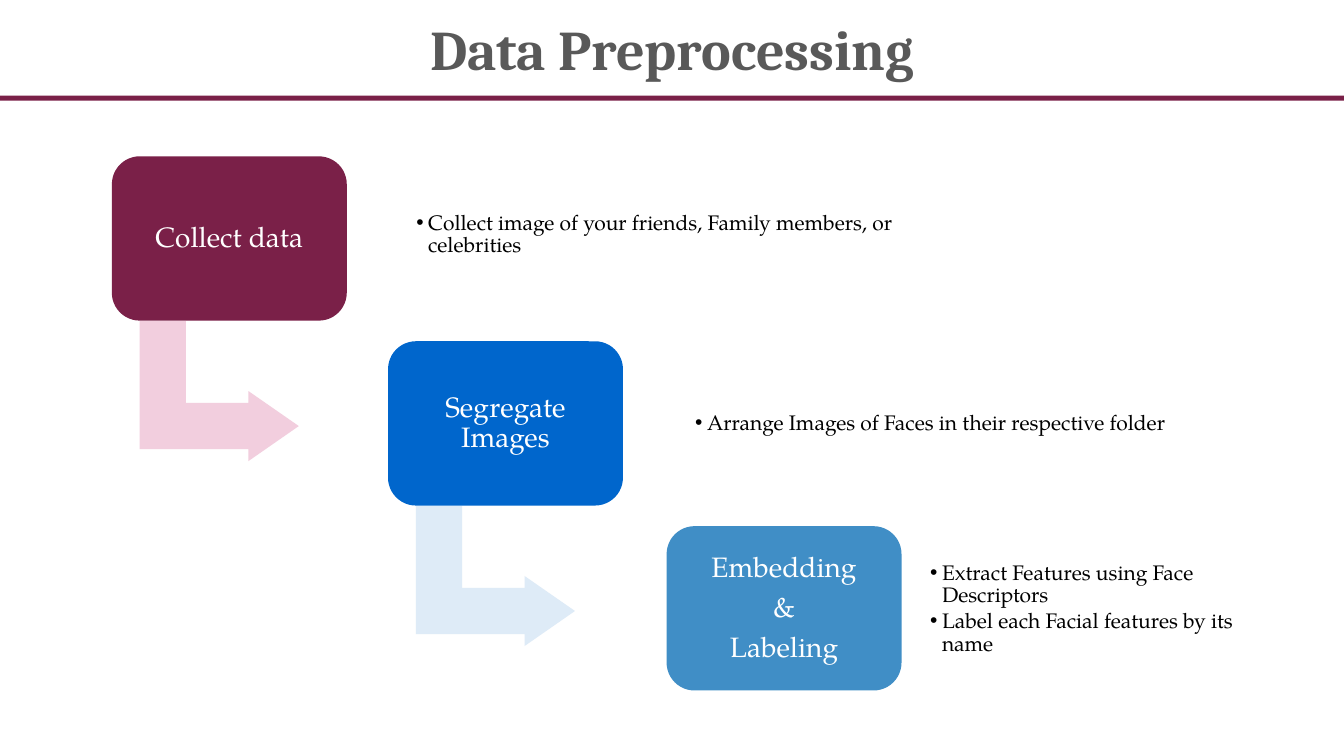
from pptx import Presentation
from pptx.dml.color import RGBColor
from pptx.enum.shapes import MSO_SHAPE
from pptx.enum.text import MSO_ANCHOR, MSO_AUTO_SIZE, PP_ALIGN
from pptx.oxml.ns import qn
from pptx.util import Cm, Pt
from lxml.etree import SubElement


def add_filled(kind, x, y, w, h, color):
    sp = s.shapes.add_shape(kind, Cm(x), Cm(y), Cm(w), Cm(h))
    sp.shadow.inherit = False
    sp.fill.solid()
    sp.fill.fore_color.rgb = RGBColor.from_string(color)
    sp.line.fill.background()
    return sp


def write(sp, lines, font, size, color, inset, after, align, bold=False, bullet=False):
    tf = sp.text_frame
    tf.word_wrap = True
    tf.auto_size = MSO_AUTO_SIZE.NONE
    tf.vertical_anchor = MSO_ANCHOR.MIDDLE
    tf.margin_left = tf.margin_right = tf.margin_top = tf.margin_bottom = Cm(inset)
    for i, line in enumerate(lines):
        p = tf.paragraphs[0] if i == 0 else tf.add_paragraph()
        if bullet:
            pPr = p._p.get_or_add_pPr()
            pPr.set("marL", str(Cm(0.3)))
            pPr.set("indent", str(-Cm(0.3)))
            SubElement(pPr, qn("a:buChar")).set("char", "•")
        p.alignment = align
        p.line_spacing = 0.9
        p.space_before = Pt(0)
        p.space_after = Pt(after)
        r = p.add_run()
        r.text = line
        r.font.name = font
        r.font.size = Pt(size)
        r.font.bold = bold
        r.font.color.rgb = RGBColor.from_string(color)


BODY_FONT = "TeX Gyre Pagella"
STEP_X, STEP_Y = 6.96, 4.66
STEPS = [
    (["Collect data"], "7A2048", "F2CEDE", 10.34, 4.24, 12.85,
     ["Collect image of your friends, Family members, or celebrities"]),
    (["Segregate Images"], "0066CC", "DEEBF7", 17.37, 8.99, 14.6,
     ["Arrange Images of Faces in their respective folder"]),
    (["Embedding", "&", "Labeling"], "408EC6", None, 23.29, 13.67, 8.71,
     ["Extract Features using Face Descriptors", "Label each Facial features by its name"]),
]

prs = Presentation()
prs.slide_width, prs.slide_height = Cm(33.87), Cm(19.05)
s = prs.slides.add_slide(prs.slide_layouts.get_by_name("Comparison"))

add_filled(MSO_SHAPE.RECTANGLE, 0, 2.41, 33.87, 0.13, "7A2048")

title = s.shapes.title
title.left, title.top, title.width, title.height = Cm(0), Cm(0.23), Cm(33.87), Cm(2.18)
write(title, ["Data Preprocessing"], "Cambria", 40, "595959", 0.13, 0, PP_ALIGN.CENTER, bold=True)

bodies = [ph for ph in s.placeholders if ph.placeholder_format.idx in (1, 2, 3, 4)]
spare = bodies.pop()
spare.element.getparent().remove(spare.element)

for i, (label, color, arrow_color, x, y, w, items) in enumerate(STEPS):
    dx, dy = i * STEP_X + 0.06 * (i == 2), i * STEP_Y
    if arrow_color:
        arrow = add_filled(MSO_SHAPE.BENT_UP_ARROW, 3.76 + dx, 7.85 + dy, 3.53, 4.01, arrow_color)
        arrow.rotation = 90
        for n, value in enumerate((0.33, 0.25, 0.36)):
            arrow.adjustments[n] = value

    box = add_filled(MSO_SHAPE.ROUNDED_RECTANGLE, 2.82 + dx, 3.94 + dy, 5.92, 4.14, color)
    box.adjustments[0] = 0.17
    write(box, label, BODY_FONT, 20, "FFFFFF", 0.4, 7, PP_ALIGN.CENTER)

    body = bodies[i]
    body.left, body.top, body.width, body.height = Cm(x), Cm(y), Cm(w), Cm(3.35)
    write(body, items, BODY_FONT, 15, "000000", 0.15, 2.25, PP_ALIGN.LEFT, bullet=True)

prs.save("out.pptx")
